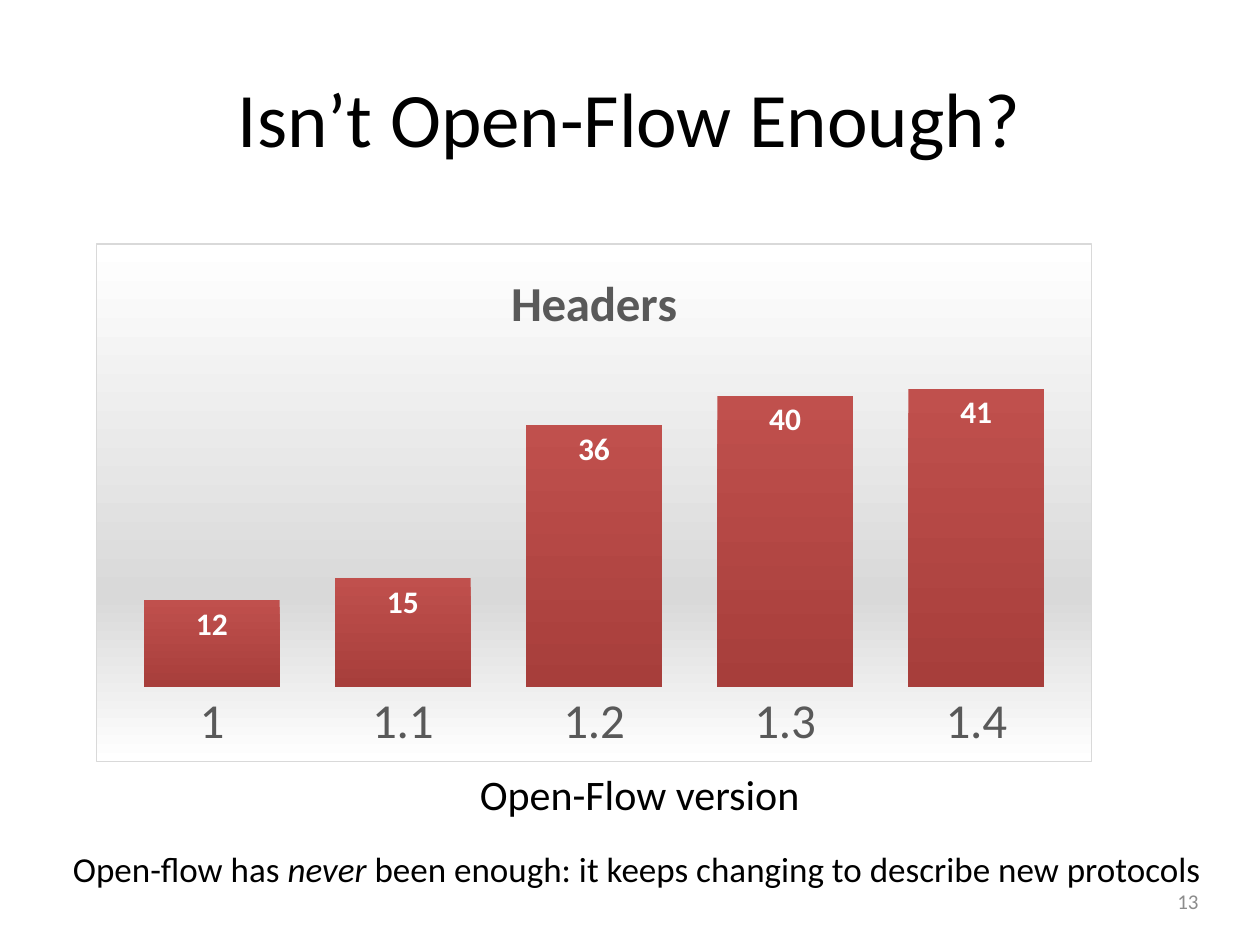
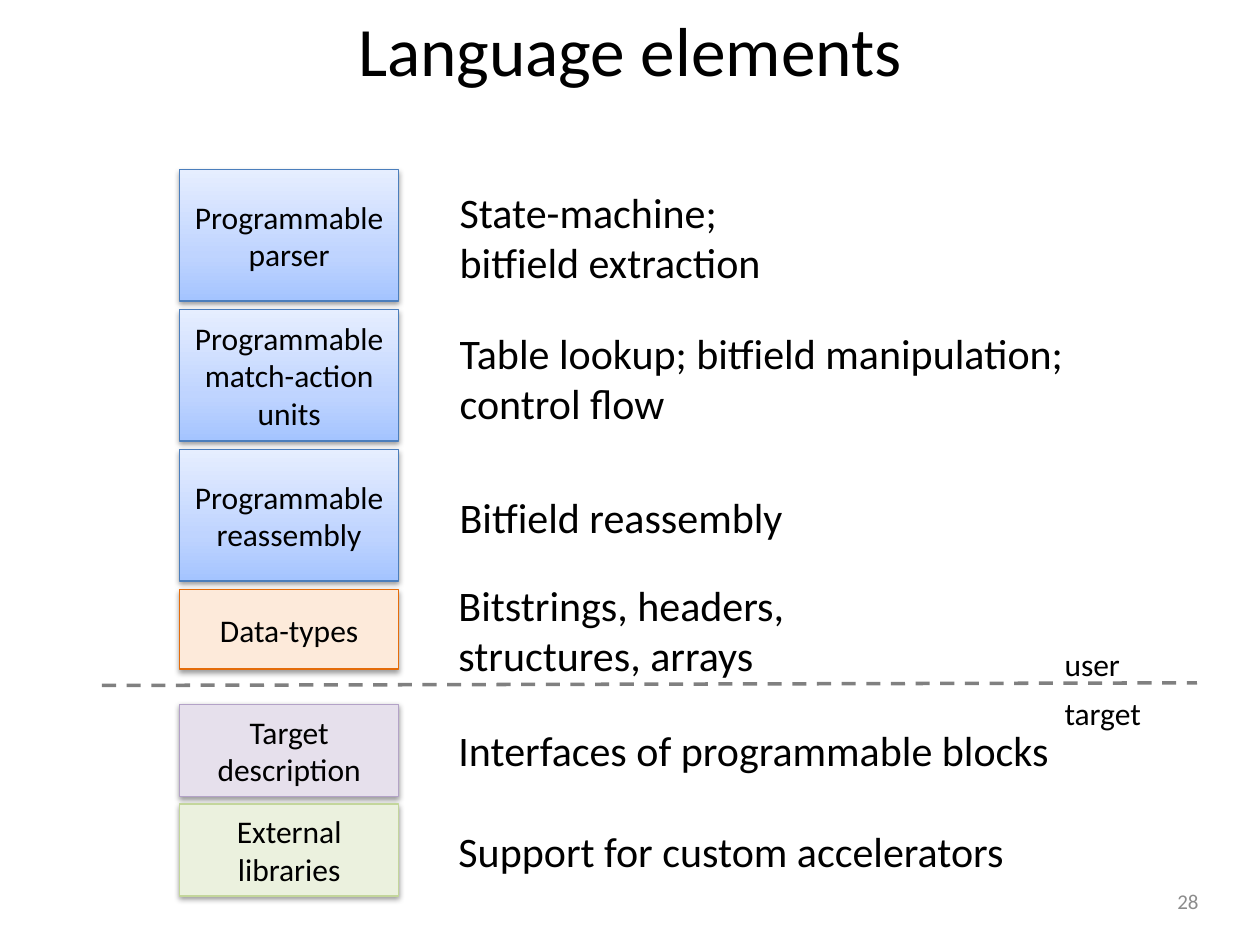
from dataclasses import dataclass
from lxml.etree import SubElement
from pptx import Presentation
from pptx.chart.data import CategoryChartData
from pptx.dml.color import RGBColor
from pptx.enum.chart import XL_CHART_TYPE, XL_LABEL_POSITION, XL_TICK_MARK
from pptx.enum.dml import MSO_LINE
from pptx.enum.shapes import MSO_CONNECTOR, MSO_SHAPE
from pptx.enum.text import MSO_ANCHOR, MSO_AUTO_SIZE, PP_ALIGN
from pptx.oxml import parse_xml
from pptx.oxml.ns import nsdecls, qn
from pptx.util import Pt


@dataclass(frozen=True)
class Theme:
    font: str = "Calibri"
    ink: str = "000000"
    white: str = "FFFFFF"
    gray: str = "595959"
    page: str = "8C8C8C"
    dash: str = "808080"
    edge: str = "D9D9D9"
    blue: tuple = ((0, "A4C4FF"), (35, "BFD4FF"), (100, "E6EEFF"))
    red: tuple = ((0, "C0504D"), (100, "A73E3B"))
    back: tuple = ((0, "FFFFFF"), (68, "D9D9D9"), (100, "FFFFFF"))
    big: int = 28
    body: int = 24
    note: int = 20
    label: int = 18
    small: int = 12


look = Theme()
rgb = RGBColor.from_string


def put(frame, paras, size, color=look.ink, align=PP_ALIGN.LEFT):
    """Write paragraphs of (text, italic) runs; a newline is a line break."""
    for i, runs in enumerate(paras):
        para = frame.paragraphs[0] if i == 0 else frame.add_paragraph()
        para.alignment = align
        for text, slant in runs:
            for j, part in enumerate(text.split("\n")):
                if j:
                    para.add_line_break()
                run = para.add_run()
                run.text = part
                run.font.name, run.font.size = look.font, Pt(size)
                run.font.italic = slant
                run.font.color.rgb = rgb(color)


def blend(stops, angle):
    """Make a linear gradient fill element."""
    marks = "".join(
        f'<a:gs pos="{pos * 1000}"><a:srgbClr val="{tint}"/></a:gs>' for pos, tint in stops)
    return parse_xml(f'<a:gradFill {nsdecls("a")} rotWithShape="1"><a:gsLst>{marks}</a:gsLst>'
                     f'<a:lin ang="{angle * 60000}" scaled="0"/></a:gradFill>')


deck = Presentation()
deck.slide_width, deck.slide_height = Pt(720), Pt(540)

# Titles and page numbers
pages = []
for title, top, height, size, number in [
    ("Isn’t Open-Flow Enough?", 21.6, 90, 44, "13"),
    ("Language elements", 0, 55.4, 39.6, "28"),
]:
    page = deck.slides.add_slide(deck.slide_layouts[5])
    pages.append(page)
    head = page.shapes.title
    head.left, head.top, head.width, head.height = Pt(36), Pt(top), Pt(648), Pt(height)
    head.text_frame.auto_size = MSO_AUTO_SIZE.NONE
    head.text_frame.vertical_anchor = MSO_ANCHOR.MIDDLE
    put(head.text_frame, [[(title, False)]], size, align=PP_ALIGN.CENTER)
    foot = page.shapes.add_textbox(Pt(617), Pt(500.4), Pt(75), Pt(28.8)).text_frame
    foot.word_wrap = True
    foot.vertical_anchor = MSO_ANCHOR.MIDDLE
    put(foot, [[(number, False)]], look.small, look.page, PP_ALIGN.RIGHT)
first, second = pages

# Chart of headers per version
data = CategoryChartData()
data.categories = ["1", "1.1", "1.2", "1.3", "1.4"]
data.add_series("Series 1", [12, 15, 36, 40, 41])
chart = first.shapes.add_chart(XL_CHART_TYPE.COLUMN_CLUSTERED, Pt(54.7), Pt(139),
                               Pt(569.5), Pt(296.6), data).chart
chart.font.name, chart.font.size = look.font, Pt(10)
chart.has_legend = False
chart.has_title = True
put(chart.chart_title.text_frame, [[("Headers", False)]], look.big, look.gray,
    PP_ALIGN.CENTER)
chart.chart_title.include_in_layout = False

# Chart background and border
area = parse_xml(f'<c:spPr {nsdecls("c", "a")}><a:ln w="9525"><a:solidFill>'
                 f'<a:srgbClr val="{look.edge}"/></a:solidFill></a:ln></c:spPr>')
area.insert(0, blend(look.back, 90))
chart.element.find(qn("c:txPr")).addprevious(area)

# Axes
axis = chart.category_axis
axis.major_tick_mark = axis.minor_tick_mark = XL_TICK_MARK.NONE
axis.format.line.fill.background()
axis.tick_labels.font.name = look.font
axis.tick_labels.font.size = Pt(look.big)
axis.tick_labels.font.color.rgb = rgb(look.gray)
scale = chart.value_axis
scale.visible = scale.has_major_gridlines = False
scale.minimum_scale, scale.maximum_scale = 0, 45

# Columns and their labels
plot = chart.plots[0]
plot.gap_width, plot.vary_by_categories = 41, False
bars = plot.series[0]
bars.format.fill.solid()
plain = next(chart.element.find(".//" + qn("c:ser")).iter(qn("a:solidFill")))
plain.getparent().replace(plain, blend(look.red, 90))
tags = bars.data_labels
tags.show_value, tags.position = True, XL_LABEL_POSITION.INSIDE_END
tags.font.name, tags.font.size, tags.font.bold = look.font, Pt(look.label), True
tags.font.color.rgb = rgb(look.white)

# Element boxes: four above the line, two below
for text, top, height, tint, edge in [
    ("Programmable\nparser", 97, 75, look.blue, "4B7EBC"),
    ("Programmable\nmatch-action\nunits", 177, 75, look.blue, "4B7EBC"),
    ("Programmable\nreassembly", 257, 75, look.blue, "4B7EBC"),
    ("Data-types", 337, 45.4, "FDEADA", "E46C0A"),
    ("Target\ndescription", 402.5, 52.6, "E6E0EC", "B3A2C7"),
    ("External libraries", 459.5, 52.6, "EBF1DE", "C3D69B"),
]:
    box = second.shapes.add_shape(MSO_SHAPE.RECTANGLE, Pt(102.6), Pt(top),
                                  Pt(125.3), Pt(height))
    box.fill.solid()
    props = box.element.spPr
    if tint == look.blue:
        props.replace(props.find(qn("a:solidFill")), blend(tint, 270))
    else:
        box.fill.fore_color.rgb = rgb(tint)
    box.line.color.rgb, box.line.width = rgb(edge), Pt(0.75)
    box.shadow.inherit = False
    shade = SubElement(props.find(qn("a:effectLst")), qn("a:outerShdw"), blurRad="40000",
                       dist="20000", dir="5400000", rotWithShape="0")
    black = SubElement(shade, qn("a:srgbClr"), val=look.ink)
    SubElement(black, qn("a:alpha"), val="38000")
    box.text_frame.word_wrap = True
    box.text_frame.vertical_anchor = MSO_ANCHOR.MIDDLE
    put(box.text_frame, [[(line, False)] for line in text.split("\n")], look.label,
        align=PP_ALIGN.CENTER)

# Line between user and target
rule = second.shapes.add_connector(MSO_CONNECTOR.STRAIGHT, Pt(58.3), Pt(391.7),
                                   Pt(684), Pt(390.2))
rule.line.color.rgb, rule.line.width = rgb(look.dash), Pt(2)
rule.line.dash_style = MSO_LINE.DASH
SubElement(rule.element.spPr, qn("a:effectLst"))

# Captions and explanations
claim = [("Open-flow has ", False), ("never", True),
         (" been enough: it keeps changing to describe new protocols", False)]
for page, runs, left, top, width, height, size in [
    (first, "Open-Flow version", 267.1, 435.6, 199.4, 36, look.body),
    (first, claim, 34.6, 481, 664.6, 31.7, look.note),
    (second, "State-machine;\nbitfield extraction", 255.6, 103, 189.4, 65.5, look.body),
    (second, "Table lookup; bitfield manipulation;\ncontrol flow", 255.6, 183.6, 368.6,
     65.5, look.body),
    (second, "Bitfield reassembly", 255.6, 277.6, 201.6, 36, look.body),
    (second, "Bitstrings, headers,\nstructures, arrays", 254.9, 327.6, 202.3, 65.5, look.body),
    (second, "Interfaces of programmable blocks", 254.9, 410.4, 355, 36, look.body),
    (second, "Support for custom accelerators", 254.9, 468, 334, 36, look.body),
    (second, "user", 601.2, 365, 46.8, 28.8, look.label),
    (second, "target", 601.2, 393.1, 58.3, 28.8, look.label),
]:
    frame = page.shapes.add_textbox(Pt(left), Pt(top), Pt(width), Pt(height)).text_frame
    frame.word_wrap = False
    frame.auto_size = MSO_AUTO_SIZE.SHAPE_TO_FIT_TEXT
    put(frame, [[(runs, False)]] if isinstance(runs, str) else [runs], size)

deck.save("out.pptx")
